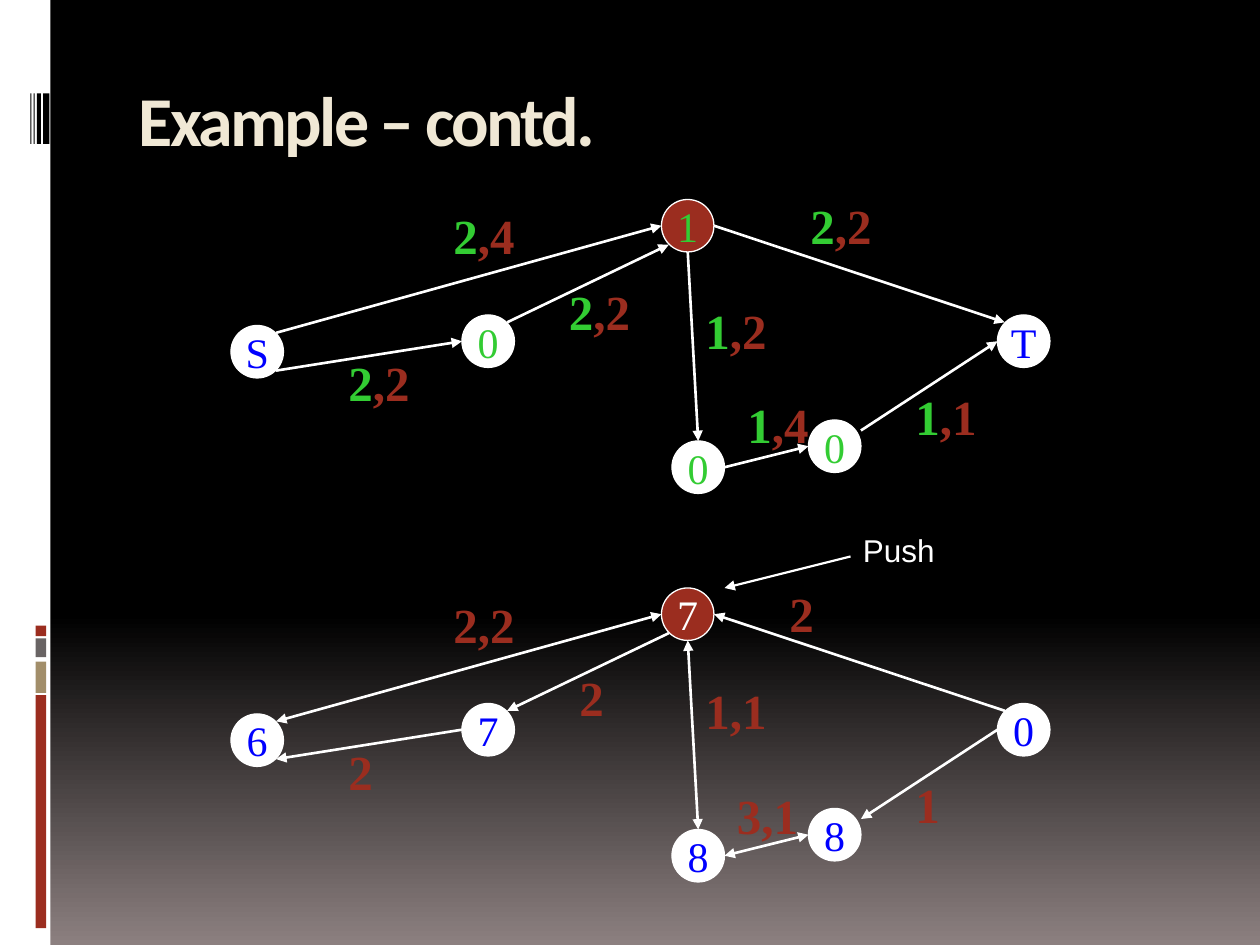
from pptx import Presentation
from pptx.dml.color import RGBColor
from pptx.enum.shapes import MSO_CONNECTOR as Link, MSO_SHAPE as Shape
from pptx.enum.text import MSO_ANCHOR as Anchor, PP_ALIGN as Align
from pptx.oxml.ns import qn
from pptx.util import Pt
from lxml.etree import SubElement

PX = 7620  # 120 px to the inch
WHITE, BLACK, RED = "FFFFFF", "000000", "9B2D1F"
GREEN, BLUE, CREAM = "33CC33", "0000FF", "F0E8D5"
SERIF = "Times New Roman"
NODE = 50

# Top left corner of each node, relative to its graph
SPOTS = {"s": (0, 120), "a": (220, 110), "hub": (410, 0),
         "t": (730, 110), "c": (420, 230), "d": (550, 210)}
# Points on the rim of a node
RIM = {"n": (25, 0), "e": (50, 25), "s": (25, 50), "w": (0, 25),
       "nw": (7, 7), "ne": (43, 7), "sw": (7, 43), "se": (43, 43),
       "ene": (50, 10)}
EDGES = [("s", "ne", "hub", "w"), ("s", "se", "a", "w"),
         ("d", "ene", "t", "w"), ("hub", "s", "c", "n"),
         ("hub", "e", "t", "nw"), ("a", "ne", "hub", "sw"),
         ("c", "e", "d", "w")]


def px(*nums):
    return [round(n * PX) for n in nums]


def tint(code):
    return RGBColor.from_string(code)


def style(run, font, size, code, bold=False):
    run.font.name = font
    run.font.size = Pt(size)
    run.font.bold = bold
    run.font.color.rgb = tint(code)


def block(slide, kind, box, fill, line=None):
    shape = slide.shapes.add_shape(kind, *px(*box))
    shape.shadow.inherit = False
    shape.fill.solid()
    shape.fill.fore_color.rgb = tint(fill)
    if line:
        shape.line.color.rgb = tint(line)
        shape.line.width = Pt(0.75)
    else:
        shape.line.fill.background()
    return shape


def arrow(slide, start, end, width=1.5, ends=("tailEnd",)):
    link = slide.shapes.add_connector(Link.STRAIGHT, *px(*start, *end))
    link.line.color.rgb = tint(WHITE)
    link.line.width = Pt(width)
    props = link._element.spPr
    for tag in ends:
        SubElement(props.find(qn("a:ln")), qn("a:" + tag), type="triangle")
    SubElement(props, qn("a:effectLst"))


def label(slide, box, parts, font, size, bold=False, gap=0):
    """Write a line of (text, colour) parts."""
    frame = slide.shapes.add_textbox(*px(*box)).text_frame
    frame.word_wrap = True
    para = frame.paragraphs[0]
    para.space_before = Pt(gap)
    for text, code in parts:
        run = para.add_run()
        run.text = text
        style(run, font, size, code, bold)


def node(slide, x, y, text, code, fill):
    shape = block(slide, Shape.OVAL, (x, y, NODE, NODE), fill, WHITE)
    frame = shape.text_frame
    frame.word_wrap = False
    frame.vertical_anchor = Anchor.MIDDLE
    para = frame.paragraphs[0]
    para.text = text
    para.alignment = Align.CENTER
    style(para.runs[0], SERIF, 24, code)


def graph(slide, left, top, nodes, ends, costs):
    """nodes: name to (text, colour); ends: arrowheads per edge;
    costs: (x, y, width, flow, rest)."""
    def rim(name, side):
        (x, y), (dx, dy) = SPOTS[name], RIM[side]
        return left + x + dx, top + y + dy

    for (tail, out, head, into), tags in zip(EDGES, ends):
        arrow(slide, rim(tail, out), rim(head, into), ends=tags)
    for x, y, wide, flow, rest in costs:
        parts = [(text, code) for text, code in ((flow, GREEN), (rest, RED))
                 if text]
        label(slide, (left + x, top + y, wide, 68), parts, SERIF, 28, True, 3)
    for name, (text, code) in nodes.items():
        x, y = SPOTS[name]
        fill = RED if name == "hub" else WHITE
        node(slide, left + x, top + y, text, code, fill)


def backdrop(slide):
    fill = slide.background.fill
    fill.gradient()
    fill.gradient_angle = 270
    for stop, (place, code) in zip(fill.gradient_stops,
                                   [(0.65, BLACK), (1, "8C8080")]):
        stop.position = place
        stop.color.rgb = tint(code)


def sidebar(slide, left, top, width, height):
    block(slide, Shape.RECTANGLE, (left, top, width, height), WHITE)
    for y, tall, code in [(662, 222, RED), (630, 30, "A28E6A"),
                          (608, 18, "696464"), (596, 10, RED)]:
        block(slide, Shape.RECTANGLE, (left + 34, top + y, 10, tall), code)
    for x, wide in [(41, 6), (35, 4), (32, 1), (29, 1)]:
        block(slide, Shape.RECTANGLE, (left + x, top + 89, wide, 48), BLACK)


def heading(slide, box, text):
    title = slide.shapes.title
    title.left, title.top, title.width, title.height = px(*box)
    frame = title.text_frame
    frame.text = text
    frame.vertical_anchor = Anchor.TOP
    para = frame.paragraphs[0]
    para.alignment = Align.LEFT
    run = para.runs[0]
    style(run, "Calibri", 40, CREAM, True)
    run.font._element.set("spc", "-150")


def main():
    deck = Presentation()
    deck.slide_width, deck.slide_height = px(1200, 900)
    slide = deck.slides.add_slide(deck.slide_layouts[5])
    backdrop(slide)
    sidebar(slide, 0, 0, 48, 900)
    heading(slide, (120, 67, 1020, 120), "Example – contd.")

    on, back = ("tailEnd",), ("headEnd",)
    both = back + on
    graph(slide, 220, 190,
          {"s": ("S", BLUE), "a": ("0", GREEN), "hub": ("1", GREEN),
           "t": ("T", BLUE), "c": ("0", GREEN), "d": ("0", GREEN)},
          [on] * len(EDGES),
          [(200, 0, 90, "2", ",4"), (100, 140, 90, "2", ",2"),
           (310, 72, 90, "2", ",2"), (540, -10, 90, "2", ",2"),
           (440, 90, 90, "1", ",2"), (480, 180, 100, "1", ",4"),
           (640, 172, 100, "1", ",1")])
    graph(slide, 220, 560,
          {"s": ("6", BLUE), "a": ("7", BLUE), "hub": ("7", WHITE),
           "t": ("0", BLUE), "c": ("8", BLUE), "d": ("8", BLUE)},
          [both, back, back, both, back, back, both],
          [(200, 0, 90, "", "2,2"), (100, 140, 50, "", "2"),
           (320, 70, 50, "", "2"), (520, -10, 50, "", "2"),
           (440, 82, 90, "", "1,1"), (470, 182, 90, "", "3,1"),
           (640, 172, 50, "", "1")])

    label(slide, (810, 500, 110, 48), [("Push", WHITE)], "Arial", 18)
    arrow(slide, (810, 530), (690, 560), 1.25)
    deck.save("out.pptx")


if __name__ == "__main__":
    main()
